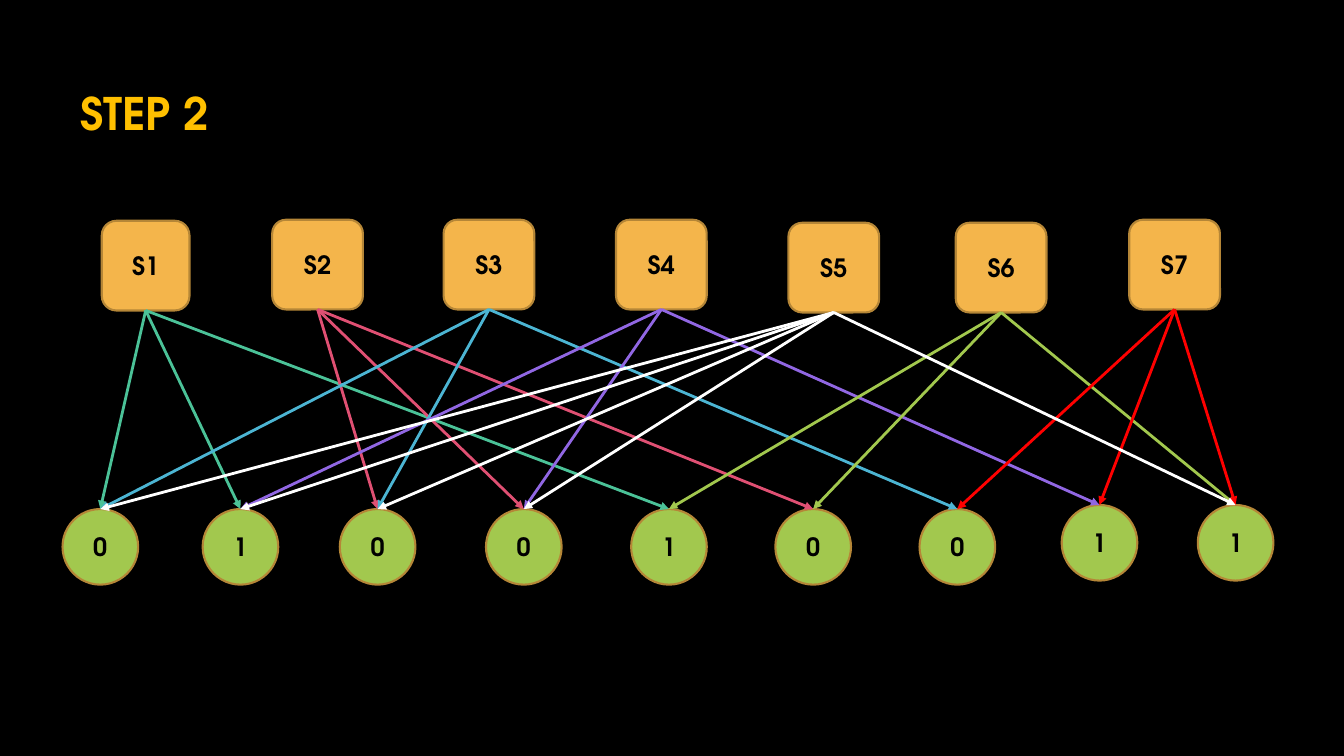
from lxml import etree
from pptx import Presentation
from pptx.dml.color import RGBColor
from pptx.enum import shapes, text
from pptx.oxml import ns
from pptx.util import Inches, Pt

FONT = {"name": "TeX Gyre Adventor", "bold": True}


def color(fmt, value):
    """Colour a fill, or a font's or line's fill, from a hex string."""
    fmt.solid()
    fmt.fore_color.rgb = RGBColor.from_string(value)


def add_node(kind, label, left, top, width, height, fill):
    sp = s.shapes.add_shape(kind, Inches(left), Inches(top), Inches(width), Inches(height))
    sp.shadow.inherit = False
    color(sp.fill, fill)
    color(sp.line.fill, "B58637")
    sp.line.width = Pt(1.5)
    tf = sp.text_frame
    tf.vertical_anchor = text.MSO_ANCHOR.MIDDLE
    p = tf.paragraphs[0]
    p.alignment = text.PP_ALIGN.CENTER
    r = p.add_run()
    r.text = label
    for name, value in {**FONT, "size": Pt(18)}.items():
        setattr(r.font, name, value)
    color(r.font.fill, "000000")
    return sp


prs = Presentation()
prs.slide_width, prs.slide_height = Inches(13.33), Inches(7.5)
s = prs.slides.add_slide(prs.slide_layouts[6])
color(s.background.fill, "000000")

# Title
tb = s.shapes.add_textbox(Inches(0.7), Inches(0.8), Inches(1.49), Inches(0.64))
tf = tb.text_frame
tf.word_wrap = False
tf.auto_size = text.MSO_AUTO_SIZE.SHAPE_TO_FIT_TEXT
r = tf.paragraphs[0].add_run()
r.text = "STEP 2"
for name, value in {**FONT, "size": Pt(32)}.items():
    setattr(r.font, name, value)
color(r.font.fill, "FFC000")

# Source squares: left, top, width
squares = []
square_places = [(1.01, 2.19, 0.87), (2.7, 2.18, 0.9), (4.4, 2.18, 0.9), (6.11, 2.18, 0.9),
                 (7.82, 2.21, 0.9), (9.48, 2.21, 0.9), (11.2, 2.18, 0.9)]
for i, (left, top, width) in enumerate(square_places, 1):
    sp = add_node(shapes.MSO_SHAPE.ROUNDED_RECTANGLE, f"S{i}", left, top, width, 0.89, "F4B54B")
    sp.adjustments[0] = 0.154 if i > 1 else 0.167
    squares.append(sp)

# Bit circles: label, left, top
circles = []
bits = [("0", 0.62, 5.05), ("1", 2.01, 5.05), ("0", 3.37, 5.05),
        ("0", 4.82, 5.05), ("1", 6.26, 5.05), ("0", 7.69, 5.05),
        ("0", 9.12, 5.05), ("1", 10.53, 5.01), ("1", 11.88, 5.01)]
for label, left, top in bits:
    circles.append(add_node(shapes.MSO_SHAPE.OVAL, label, left, top, 0.75, 0.75, "A2C84E"))

# Arrows from each square to its bits, the white ones in front
links = [(1, "4BC298", (1, 2, 5)), (2, "E05073", (3, 4, 6)), (3, "4CB5D3", (1, 3, 7)),
         (4, "9167E3", (2, 4, 8)), (6, "A2C84E", (5, 6, 9)), (7, "FF0000", (7, 8, 9)),
         (5, "FFFFFF", (1, 2, 3, 4, 9))]
BOTTOM, TOP = 2, 0
for source, hue, targets in links:
    for target in targets:
        arrow = s.shapes.add_connector(shapes.MSO_CONNECTOR.STRAIGHT, 0, 0, 0, 0)
        arrow.begin_connect(squares[source - 1], BOTTOM)
        arrow.end_connect(circles[target - 1], TOP)
        color(arrow.line.fill, hue)
        arrow.line.width = Pt(2)
        spPr = arrow._element.spPr
        etree.SubElement(spPr.find(ns.qn("a:ln")), ns.qn("a:tailEnd"), type="triangle")
        etree.SubElement(spPr, ns.qn("a:effectLst"))

prs.save("out.pptx")
